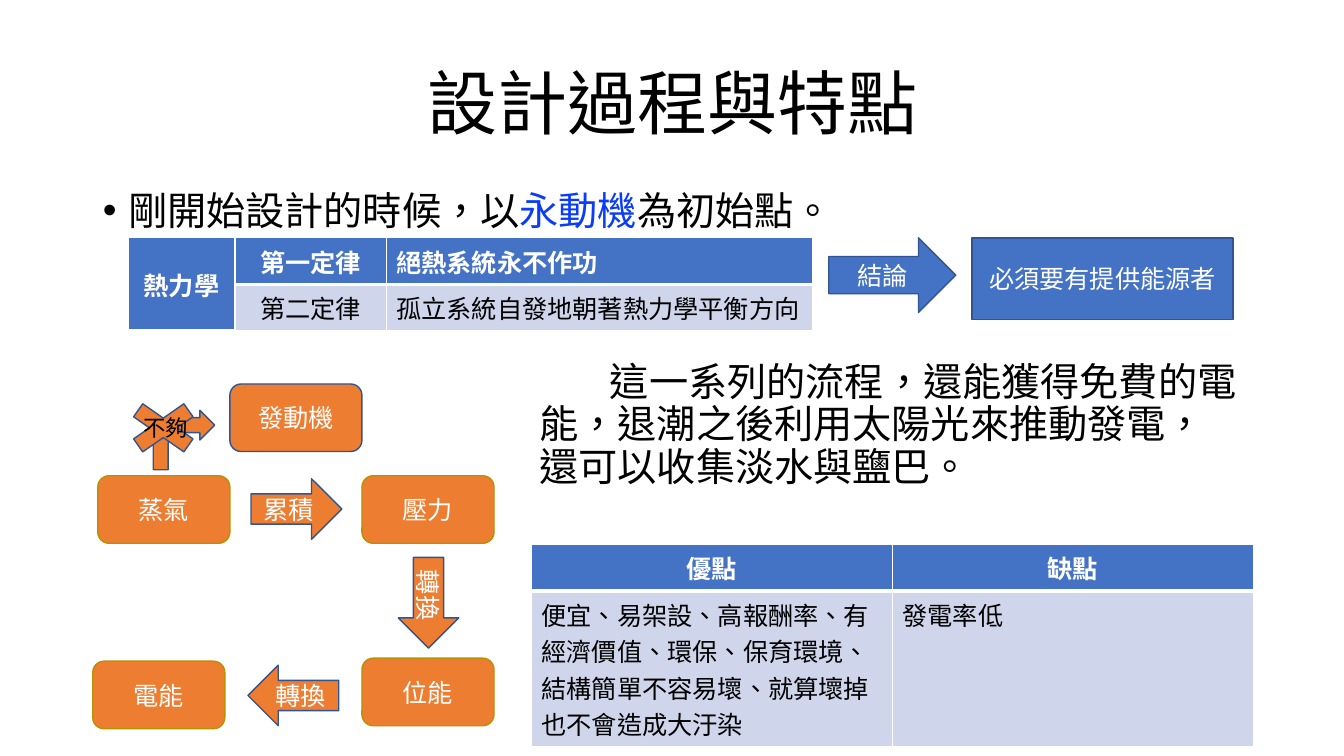
from dataclasses import dataclass

from lxml import etree
from pptx import Presentation
from pptx.dml.color import RGBColor
from pptx.enum.shapes import MSO_SHAPE
from pptx.enum.text import MSO_ANCHOR, MSO_AUTO_SIZE, PP_ALIGN
from pptx.oxml.ns import qn
from pptx.util import Inches, Pt

BLACK = RGBColor(0x00, 0x00, 0x00)
WHITE = RGBColor(0xFF, 0xFF, 0xFF)
HIGHLIGHT = RGBColor(0x0B, 0x3D, 0xF5)
BLUE = RGBColor(0x44, 0x72, 0xC4)
PALE_BLUE = RGBColor(0xCF, 0xD5, 0xEA)
NAVY = RGBColor(0x32, 0x54, 0x91)
ORANGE = RGBColor(0xED, 0x7D, 0x31)
GOLD = RGBColor(0xBD, 0x8E, 0x00)

CJK_FONT = "Noto Sans CJK SC"
TABLE_FONT = "Calibri"
LANGUAGE = "zh-TW"

RECTANGLE = MSO_SHAPE.RECTANGLE
ROUNDED = MSO_SHAPE.ROUNDED_RECTANGLE
RIGHT_ARROW = MSO_SHAPE.RIGHT_ARROW
LEFT_ARROW = MSO_SHAPE.LEFT_ARROW
BENT_ARROW = MSO_SHAPE.BENT_ARROW
CROSS = MSO_SHAPE.MATH_MULTIPLY
LEFT, CENTER = PP_ALIGN.LEFT, PP_ALIGN.CENTER
TOP, MIDDLE = MSO_ANCHOR.TOP, MSO_ANCHOR.MIDDLE

STEP_SIZE = (1.31, 0.67)
ARROW_SIZE = (0.9, 0.6)
HEADER_BORDERS = {"a:lnL": 1, "a:lnR": 1, "a:lnT": 1, "a:lnB": 3}
BODY_BORDERS = {"a:lnL": 1, "a:lnR": 1, "a:lnT": 3, "a:lnB": 1}


@dataclass
class Figure:
    kind: MSO_SHAPE
    left: float
    top: float
    size: tuple[float, float]
    text: str = ""
    fill: RGBColor = ORANGE
    line: RGBColor = NAVY
    rotation: int = 0


@dataclass
class Cell:
    row: int
    column: int
    text: str
    align: PP_ALIGN = CENTER
    anchor: MSO_ANCHOR = MIDDLE


CONCLUSION = [
    Figure(RIGHT_ARROW, 8.22, 2.36, (1.26, 0.74), "結論", BLUE),
    Figure(RECTANGLE, 9.64, 2.36, (2.59, 0.81), "必須要有提供能源者", BLUE),
]
FLOW = [
    Figure(ROUNDED, 2.28, 3.81, STEP_SIZE, "發動機"),
    Figure(ROUNDED, 0.97, 4.72, STEP_SIZE, "蒸氣", line=GOLD),
    Figure(RIGHT_ARROW, 2.49, 4.75, ARROW_SIZE, "累積"),
    Figure(ROUNDED, 3.59, 4.72, STEP_SIZE, "壓力", line=GOLD),
    Figure(ROUNDED, 3.59, 6.53, STEP_SIZE, "位能", line=GOLD),
    Figure(ROUNDED, 0.92, 6.56, STEP_SIZE, "電能", line=GOLD),
    Figure(LEFT_ARROW, 2.46, 6.6, ARROW_SIZE, "轉換"),
    Figure(RIGHT_ARROW, 3.8, 5.68, ARROW_SIZE, "轉換", rotation=90),
]
BLOCKED_PATH = [
    Figure(BENT_ARROW, 1.52, 4.07, (0.61, 0.59)),
    Figure(CROSS, 1.14, 3.91, (0.96, 0.67)),
]
PROS_AND_CONS = [
    Cell(0, 0, "優點", anchor=TOP),
    Cell(0, 1, "缺點", anchor=TOP),
    Cell(1, 0, "便宜、易架設、高報酬率、有經濟價值、環保、保育環境、"
         "結構簡單不容易壞、就算壞掉也不會造成大汙染", LEFT, TOP),
    Cell(1, 1, "發電率低", LEFT, TOP),
]
LAWS = [
    Cell(0, 0, "熱力學"),
    Cell(0, 1, "第一定律"),
    Cell(0, 2, "絕熱系統永不作功", LEFT, TOP),
    Cell(1, 1, "第二定律"),
    Cell(1, 2, "孤立系統自發地朝著熱力學平衡方向", LEFT, TOP),
]


def add_run(paragraph, text: str, size: float, color: RGBColor,
            font: str = CJK_FONT, bold: bool = False) -> None:
    run = paragraph.add_run()
    run.text = text
    run.font.size = Pt(size)
    run.font.bold = bold
    run.font.name = font
    run.font.color.rgb = color
    properties = run._r.get_or_add_rPr()
    properties.set("lang", LANGUAGE)
    if font == CJK_FONT:
        etree.SubElement(properties, qn("a:ea")).set("typeface", font)


def place(shape, left: float, top: float, width: float, height: float) -> None:
    shape.left, shape.top = Inches(left), Inches(top)
    shape.width, shape.height = Inches(width), Inches(height)


def set_indent(paragraph, margin: float, first_line: float, bullet: str = "") -> None:
    properties = paragraph._p.get_or_add_pPr()
    properties.set("marL", str(Inches(margin)))
    properties.set("indent", str(Inches(first_line)))
    if bullet:
        etree.SubElement(properties, qn("a:buFont")).set("typeface", "Arial")
        etree.SubElement(properties, qn("a:buChar")).set("char", bullet)
    else:
        etree.SubElement(properties, qn("a:buNone"))


def add_figure(shapes, figure: Figure) -> None:
    shape = shapes.add_shape(figure.kind, Inches(figure.left), Inches(figure.top),
                             *map(Inches, figure.size))
    shape.shadow.inherit = False
    shape.rotation = figure.rotation
    shape.fill.solid()
    shape.fill.fore_color.rgb = figure.fill
    shape.line.color.rgb = figure.line
    shape.line.width = Pt(1)
    if figure.text:
        shape.text_frame.vertical_anchor = MIDDLE
        paragraph = shape.text_frame.paragraphs[0]
        paragraph.alignment = CENTER
        add_run(paragraph, figure.text, 18, WHITE)


def set_borders(cell, borders: dict[str, int]) -> None:
    properties = cell._tc.get_or_add_tcPr()
    for tag, width in borders.items():
        line = etree.SubElement(properties, qn(tag), w=str(Pt(width)))
        fill = etree.SubElement(line, qn("a:solidFill"))
        etree.SubElement(fill, qn("a:srgbClr"), val=str(WHITE))


def add_table(shapes, left: float, top: float, widths: list[float],
              heights: list[float], cells: list[Cell]):
    table = shapes.add_table(len(heights), len(widths), Inches(left), Inches(top),
                             Inches(sum(widths)), Inches(sum(heights))).table
    for column, width in zip(table.columns, widths):
        column.width = Inches(width)
    for row, height in zip(table.rows, heights):
        row.height = Inches(height)
    for item in cells:
        is_header = item.row == 0
        cell = table.cell(item.row, item.column)
        set_borders(cell, HEADER_BORDERS if is_header else BODY_BORDERS)
        cell.fill.solid()
        cell.fill.fore_color.rgb = BLUE if is_header else PALE_BLUE
        cell.vertical_anchor = item.anchor
        paragraph = cell.text_frame.paragraphs[0]
        paragraph.alignment = item.align
        add_run(paragraph, item.text, 18, WHITE if is_header else BLACK,
                TABLE_FONT, is_header)
    return table


def fill_title(title) -> None:
    place(title, 0.92, 0.4, 11.5, 1.31)
    title.text_frame.vertical_anchor = MIDDLE
    paragraph = title.text_frame.paragraphs[0]
    paragraph.alignment = CENTER
    paragraph.line_spacing = 0.9
    add_run(paragraph, "設計過程與特點", 50, BLACK)


def fill_body(body) -> None:
    place(body, 0.92, 1.85, 11.5, 4.91)
    frame = body.text_frame
    frame.auto_size = MSO_AUTO_SIZE.NONE
    opening, benefits = frame.paragraphs[0], frame.add_paragraph()
    for paragraph, space_before in ((opening, 10), (benefits, 62)):
        paragraph.line_spacing = 0.9
        paragraph.space_before = Pt(space_before)
    opening.space_after = Pt(30)
    set_indent(opening, 0.25, -0.25, "•")
    add_run(opening, "剛開始設計的時候，以", 28, BLACK)
    add_run(opening, "永動機", 28, HIGHLIGHT)
    add_run(opening, "為初始點。", 28, BLACK)
    set_indent(benefits, 4.33, 0.7)
    add_run(benefits, "這一系列的流程，還能獲得免費的電能，退潮之後利用太陽光來推動發電，"
            "還可以收集淡水與鹽巴。", 28, BLACK)


def main() -> None:
    presentation = Presentation()
    presentation.slide_width, presentation.slide_height = Inches(13.33), Inches(7.5)
    slide = presentation.slides.add_slide(presentation.slide_layouts[1])
    shapes = slide.shapes

    # Title and body text
    fill_title(shapes.title)
    fill_body(slide.placeholders[1])

    # Tables
    add_table(shapes, 5.27, 5.4, [3.58, 3.58], [0.4, 1.3], PROS_AND_CONS)
    laws = add_table(shapes, 1.27, 2.36, [1.06, 1.5, 4.23], [0.4, 0.41], LAWS)
    laws.cell(0, 0).merge(laws.cell(1, 0))

    # Conclusion and energy flow
    for figure in CONCLUSION + FLOW:
        add_figure(shapes, figure)

    # Blocked path from steam to engine
    group = shapes.add_group_shape()
    for figure in BLOCKED_PATH:
        add_figure(group.shapes, figure)
    label = group.shapes.add_textbox(Inches(1.32), Inches(4.06), Inches(0.75), Inches(0.37))
    label.text_frame.word_wrap = True
    add_run(label.text_frame.paragraphs[0], "不夠", 16, BLACK)

    presentation.save("out.pptx")


if __name__ == "__main__":
    main()
